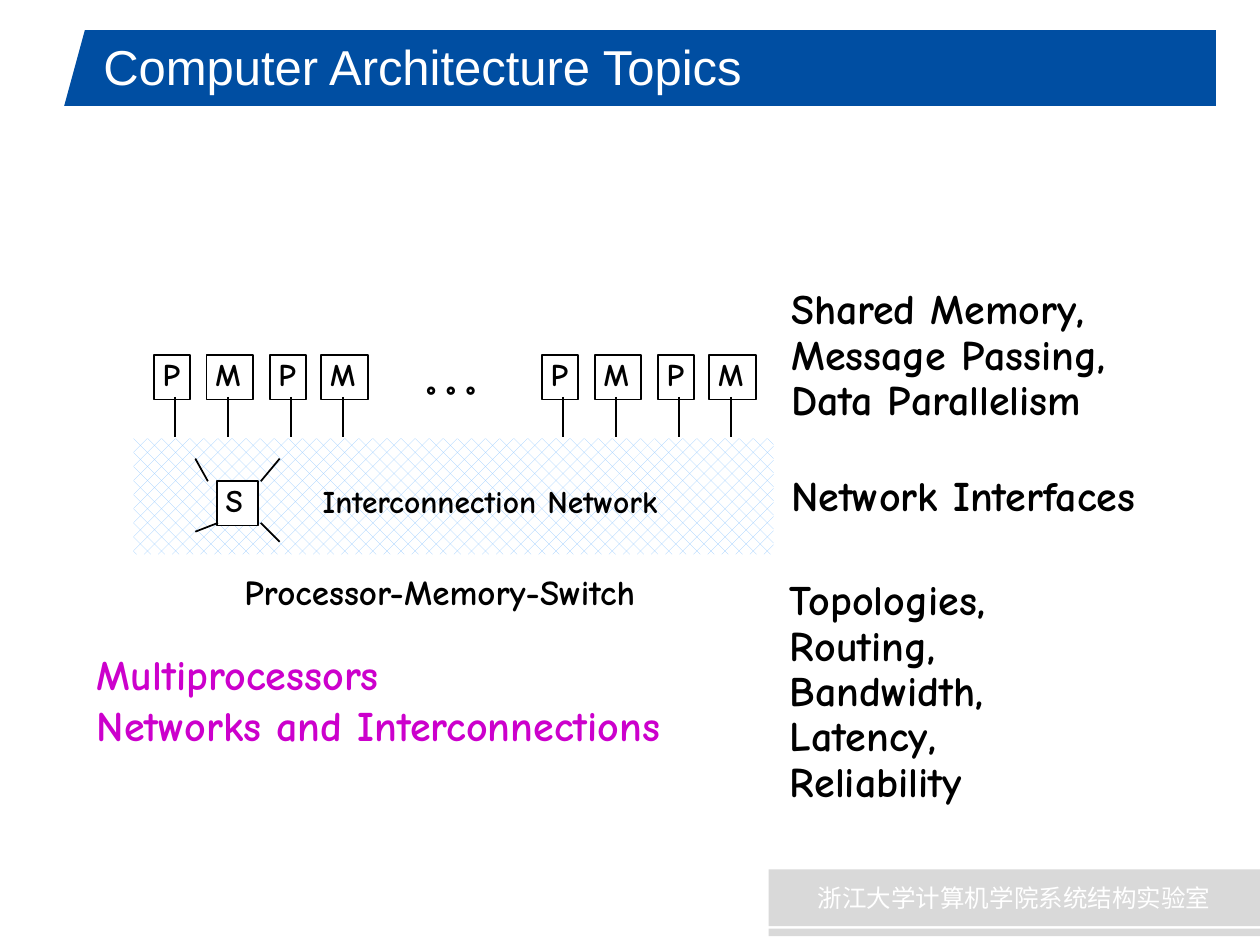
import pptx
import pptx.util
import pptx.dml.color
import pptx.enum.dml
import pptx.enum.shapes
import pptx.enum.text
import pptx.oxml.ns
import lxml.etree

Inches = pptx.util.Inches
Shape = pptx.enum.shapes.MSO_SHAPE
Anchor = pptx.enum.text.MSO_ANCHOR
Align = pptx.enum.text.PP_ALIGN
AutoSize = pptx.enum.text.MSO_AUTO_SIZE

# Content
COLORS = {"banner": "004EA2", "footer": "D9D9D9", "white": "FFFFFF",
          "ink": "000000", "hatch": "99CCFF", "accent": "CC00CC"}
HAND_FONT = "Comic Neue"
TITLE = "Computer Architecture Topics"
FOOTER = "浙江大学计算机学院系统结构实验室"

BANNER = [(Shape.TRAPEZOID, (0.51, 0.24, 4.06, 0.6)),
          (Shape.RECTANGLE, (3.82, 0.24, 5.83, 0.6)),
          (Shape.RECTANGLE, (4.85, 0.79, 4.8, 0.05))]
FOOTER_BAR = (6.1, 6.9, 3.9, 0.45)
FOOTER_RULE = (6.1, 7.37, 3.9, 0.06)

# Processor and memory nodes: label, offset within a group, width
NODES = [("P", 0, 0.29), ("M", 0.42, 0.37), ("P", 0.92, 0.29), ("M", 1.33, 0.37)]
GROUP_LEFTS = [1.22, 4.3]
NODE_TOP, NODE_HEIGHT = 2.82, 0.35
STEM_OFFSET, STEM_TOP, STEM_BOTTOM = 0.17, 3.15, 3.47

NETWORK = (1.06, 3.48, 5.08, 0.92)
SWITCH = (1.72, 3.82, 0.33, 0.35)
SWITCH_LINKS = [(2.07, 3.82, 2.22, 3.64), (1.65, 3.82, 1.55, 3.64),
                (1.73, 4.15, 1.55, 4.22), (2.07, 4.15, 2.22, 4.3)]

TIGHT, ROOMY = (0.07, 0.03), (0.1, 0.05)
# Lines, place, size, line spacing, insets, colour
LABELS = [
    (["Interconnection Network"], (2.49, 3.84, 3.15, 0.31), 18, 0.85, TIGHT, "ink"),
    (["°\u00a0°\u00a0°"], (3.32, 3.01, 1.11, 0.31), 18, 0.85, TIGHT, "ink"),
    (["Topologies,", "Routing,", "Bandwidth,", "Latency,", "Reliability"],
     (6.2, 4.57, 1.93, 1.85), 24, 0.9, TIGHT, "ink"),
    (["Network Interfaces"], (6.21, 3.74, 3.37, 0.41), 24, 0.9, TIGHT, "ink"),
    (["Shared Memory,", "Message Passing,", "Data Parallelism"],
     (6.21, 2.26, 2.91, 1.13), 24, 0.9, TIGHT, "ink"),
    (["Processor-Memory-Switch"], (1.84, 4.48, 3.75, 0.43), 20, 1.0, ROOMY, "ink"),
    (["Multiprocessors", "Networks and Interconnections"],
     (0.67, 5.1, 5.24, 0.9), 24, 1.0, ROOMY, "accent"),
]


def rgb(name):
    return pptx.dml.color.RGBColor.from_string(COLORS[name])


def add_text(para, text, size, font, color, bold=False):
    span = para.add_run()
    span.text = text
    span.font.size = pptx.util.Pt(size)
    span.font.name = font
    span.font.bold = bold
    span.font.color.rgb = rgb(color)
    return span


def add_box(page, kind, place, fill=None, line=None):
    box = page.shapes.add_shape(kind, *map(Inches, place))
    box.shadow.inherit = False
    if fill:
        box.fill.solid()
        box.fill.fore_color.rgb = rgb(fill)
    else:
        box.fill.background()
    if line:
        box.line.color.rgb = rgb(line)
        box.line.width = pptx.util.Pt(1)
    else:
        box.line.fill.background()
    return box


def write_lines(box, lines, size, spacing, insets, color):
    frame = box.text_frame
    frame.word_wrap = False
    frame.auto_size = AutoSize.SHAPE_TO_FIT_TEXT
    frame.vertical_anchor = Anchor.TOP
    frame.margin_left = frame.margin_right = Inches(insets[0])
    frame.margin_top = frame.margin_bottom = Inches(insets[1])
    for index, text in enumerate(lines):
        para = frame.add_paragraph() if index else frame.paragraphs[0]
        para.alignment = Align.LEFT
        para.line_spacing = spacing
        add_text(para, text, size, HAND_FONT, color, bold=True)


def add_node(page, label, place, fill=None):
    box = add_box(page, Shape.RECTANGLE, place, fill, "ink")
    write_lines(box, [label], 18, 0.92, TIGHT, "ink")


def add_line(page, ends):
    line = page.shapes.add_connector(
        pptx.enum.shapes.MSO_CONNECTOR.STRAIGHT, *map(Inches, ends))
    line.line.color.rgb = rgb("ink")
    line.line.width = pptx.util.Pt(1)
    lxml.etree.SubElement(line._element.spPr, pptx.oxml.ns.qn("a:effectLst"))


def add_title(page):
    for kind, place in BANNER:
        bar = add_box(page, kind, place, "banner")
        if kind == Shape.TRAPEZOID:
            bar.adjustments[0] = 0.273
    title = page.shapes.title
    title.left, title.top, title.width, title.height = map(
        Inches, (0.72, 0.25, 8.64, 0.55))
    frame = title.text_frame
    frame.auto_size = AutoSize.NONE
    frame.vertical_anchor = Anchor.MIDDLE
    frame.paragraphs[0].alignment = Align.LEFT
    add_text(frame.paragraphs[0], TITLE, 28, "Arial", "white")
    # Bring the title in front of its banner
    page.shapes._spTree.append(title._element)


def add_footer(page):
    bar = add_box(page, Shape.RECTANGLE, FOOTER_BAR, "footer")
    bar.text_frame.vertical_anchor = Anchor.MIDDLE
    para = bar.text_frame.paragraphs[0]
    para.alignment = Align.CENTER
    font = "Noto Sans CJK SC"
    span = add_text(para, FOOTER, 14, font, "white")
    east_asian = lxml.etree.Element(pptx.oxml.ns.qn("a:ea"), typeface=font)
    span.font._element.find(pptx.oxml.ns.qn("a:latin")).addnext(east_asian)
    add_box(page, Shape.RECTANGLE, FOOTER_RULE, "footer")


def add_network(page):
    network = add_box(page, Shape.RECTANGLE, NETWORK)
    network.fill.patterned()
    network.fill.pattern = pptx.enum.dml.MSO_PATTERN.PERCENT_25
    network.fill.fore_color.rgb = rgb("hatch")
    network.fill.back_color.rgb = rgb("white")

    # Switch and its links
    add_node(page, "S", SWITCH, "white")
    for ends in SWITCH_LINKS:
        add_line(page, ends)

    # Two groups of nodes, each node with a stem to the network
    for group_left in GROUP_LEFTS:
        for label, offset, width in NODES:
            left = group_left + offset
            add_node(page, label, (left, NODE_TOP, width, NODE_HEIGHT))
            stem = left + STEM_OFFSET
            add_line(page, (stem, STEM_TOP, stem, STEM_BOTTOM))


def main():
    deck = pptx.Presentation()
    deck.slide_width, deck.slide_height = Inches(10), Inches(7.5)
    page = deck.slides.add_slide(deck.slide_layouts[5])
    add_title(page)
    add_footer(page)
    add_network(page)
    for lines, place, size, spacing, insets, color in LABELS:
        box = page.shapes.add_textbox(*map(Inches, place))
        write_lines(box, lines, size, spacing, insets, color)
    deck.save("out.pptx")


if __name__ == "__main__":
    main()
